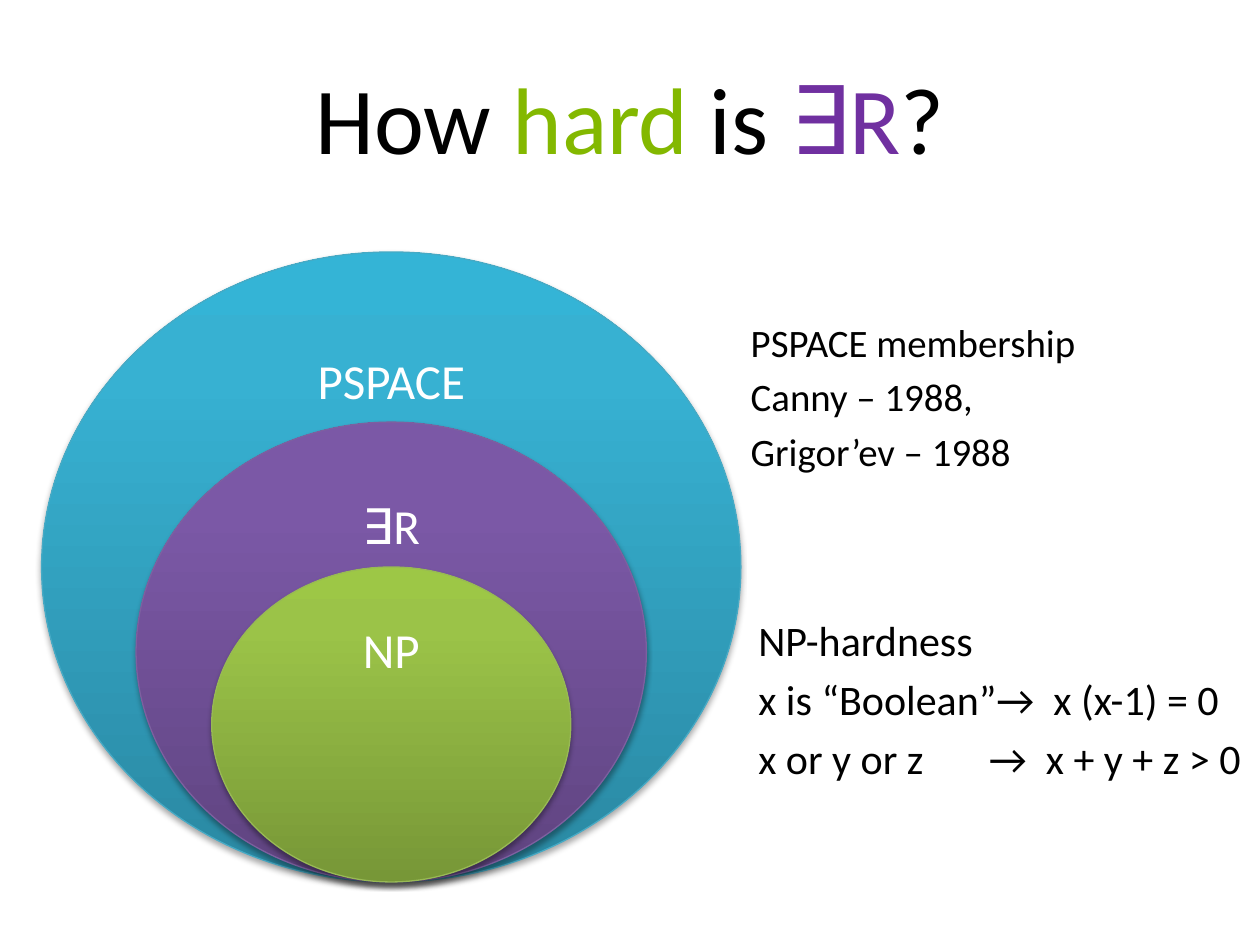
from copy import deepcopy

from pptx import Presentation
from pptx.dml.color import RGBColor
from pptx.enum.shapes import MSO_SHAPE
from pptx.enum.text import MSO_ANCHOR, PP_ALIGN
from pptx.oxml import parse_xml
from pptx.oxml.ns import nsdecls, qn
from pptx.util import Inches, Pt

BLACK = "000000"
WHITE = "FFFFFF"
GREEN = "83B800"
PURPLE = "7030A0"
STOP_POSITIONS = (0, 0.8, 1)

TITLE_RUNS = [("How ", BLACK), ("hard", GREEN), (" is ", BLACK), ("∃R", PURPLE), ("?", BLACK)]
COMPLEXITY_CLASSES = [
    ("PSPACE", 5.55, 5, ("2A88A2", "37B1D2", "34B4D6"), "46AAC5"),
    ("∃R", 4.05, 3.65, ("5F4480", "7B58A6", "7C57A8"), "7D60A0"),
    ("NP", 2.85, 2.5, ("779737", "9BC348", "9DC746"), "98B955"),
]
MEMBERSHIP_LINES = ["PSPACE membership", "Canny – 1988,", "Grigor’ev – 1988"]
HARDNESS_LINES = ["NP-hardness", "x is “Boolean”→  x (x-1) = 0", "x or y or z\t→  x + y + z > 0"]


def color(hex_string):
    """Turn a hex string into a colour."""
    return RGBColor.from_string(hex_string)


def style_font(font, size, hex_string):
    """Set the typeface, size and colour of a font."""
    font.name = "Calibri"
    font.size = Pt(size)
    font.color.rgb = color(hex_string)


def add_text_frame(slide, left, top, width, height):
    """Add a wrapping text box and return its text frame."""
    box = slide.shapes.add_textbox(Inches(left), Inches(top), Inches(width), Inches(height))
    box.text_frame.word_wrap = True
    return box.text_frame


def add_title(slide, left, top, width, height):
    """Place the centred title with its coloured words."""
    frame = add_text_frame(slide, left, top, width, height)
    frame.vertical_anchor = MSO_ANCHOR.MIDDLE
    paragraph = frame.paragraphs[0]
    paragraph.alignment = PP_ALIGN.CENTER
    for text, hex_string in TITLE_RUNS:
        run = paragraph.add_run()
        run.text = text
        style_font(run.font, 54, hex_string)


def set_gradient(shape, hex_strings):
    """Fill a shape with a three-stop gradient rising from its bottom."""
    shape.fill.gradient()
    shape.fill.gradient_angle = 90
    stop_list = shape._element.spPr.find(".//" + qn("a:gsLst"))
    stop_list.append(deepcopy(stop_list[-1]))
    for stop, position, hex_string in zip(shape.fill.gradient_stops, STOP_POSITIONS, hex_strings):
        stop.position = position
        stop.color.rgb = color(hex_string)


def set_shadow(shape):
    """Give a shape a soft shadow below it."""
    shape.shadow.inherit = False
    shape._element.spPr.find(qn("a:effectLst")).append(parse_xml(
        f'<a:outerShdw {nsdecls("a")} blurRad="{Pt(3.1)}" dist="{Pt(1.8)}" dir="5400000" '
        'rotWithShape="0"><a:srgbClr val="000000"><a:alpha val="35000"/></a:srgbClr></a:outerShdw>'
    ))


def add_class_diagram(slide, left, top, width, height):
    """Nest the class ellipses on the bottom centre of the box."""
    for name, class_width, class_height, gradient, line_color in COMPLEXITY_CLASSES:
        ellipse = slide.shapes.add_shape(
            MSO_SHAPE.OVAL,
            Inches(left + (width - class_width) / 2), Inches(top + height - class_height),
            Inches(class_width), Inches(class_height),
        )
        set_gradient(ellipse, gradient)
        ellipse.line.color.rgb = color(line_color)
        ellipse.line.width = Pt(0.75)
        set_shadow(ellipse)
        ellipse.text_frame.vertical_anchor = MSO_ANCHOR.TOP
        paragraph = ellipse.text_frame.paragraphs[0]
        paragraph.text = name
        paragraph.alignment = PP_ALIGN.CENTER
        style_font(paragraph.font, 28, WHITE)


def add_note(slide, left, top, width, height, lines, size):
    """Place a block of lines with a tab stop for the arrows."""
    frame = add_text_frame(slide, left, top, width, height)
    for index, line in enumerate(lines):
        paragraph = frame.paragraphs[0] if index == 0 else frame.add_paragraph()
        paragraph.text = line
        if "\t" in line:
            paragraph._p.get_or_add_pPr().append(parse_xml(
                f'<a:tabLst {nsdecls("a")}><a:tab pos="{Inches(1.83)}" algn="l"/></a:tabLst>'
            ))
        if index:
            paragraph.space_before = Pt(round(size * 0.2, 1))
        style_font(paragraph.font, size, BLACK)


def main():
    """Build the slide and save it."""
    presentation = Presentation()
    presentation.slide_width = Inches(10)
    presentation.slide_height = Inches(7.5)
    slide = presentation.slides.add_slide(presentation.slide_layouts[6])
    add_title(slide, 0.5, 0.3, 9, 1.25)
    add_class_diagram(slide, 0.33, 2, 5.55, 5)
    add_note(slide, 5.86, 2.48, 3.75, 1.33, MEMBERSHIP_LINES, 22.2)
    add_note(slide, 5.92, 4.83, 4.42, 2, HARDNESS_LINES, 24)
    presentation.save("out.pptx")


if __name__ == "__main__":
    main()
